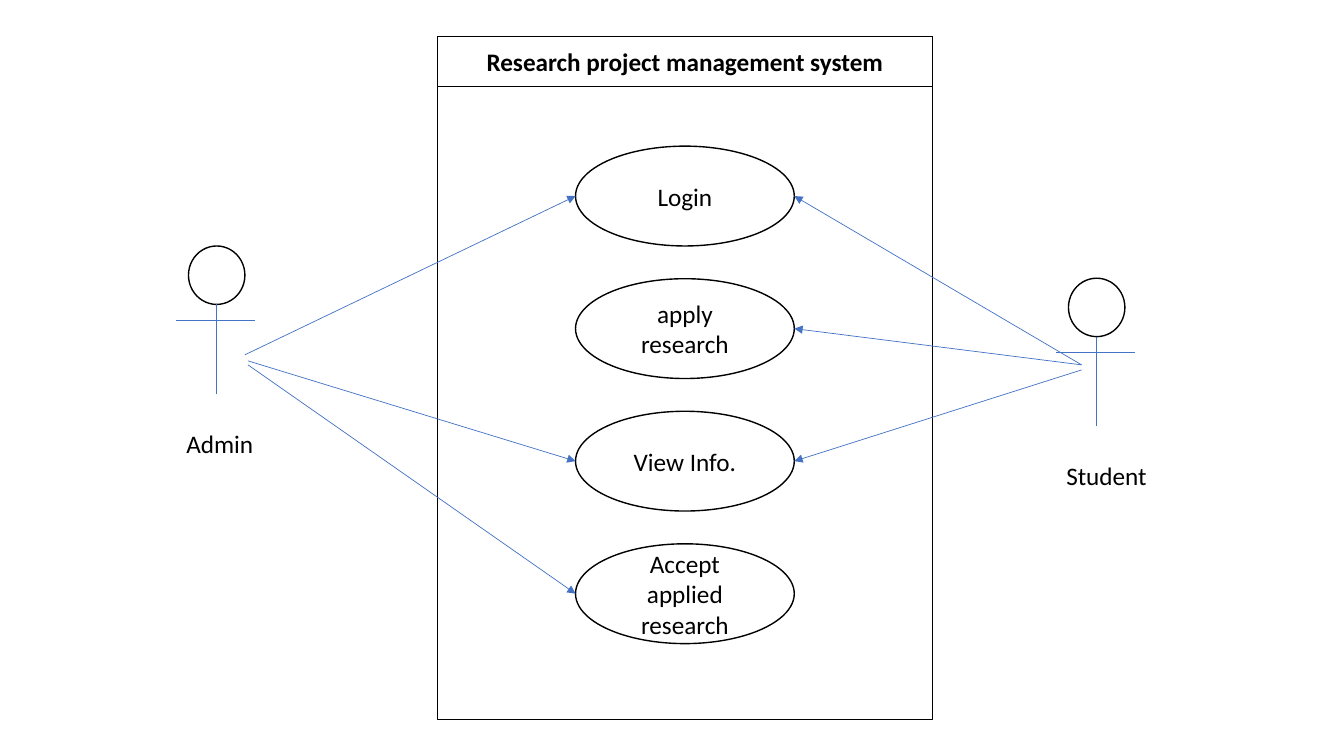
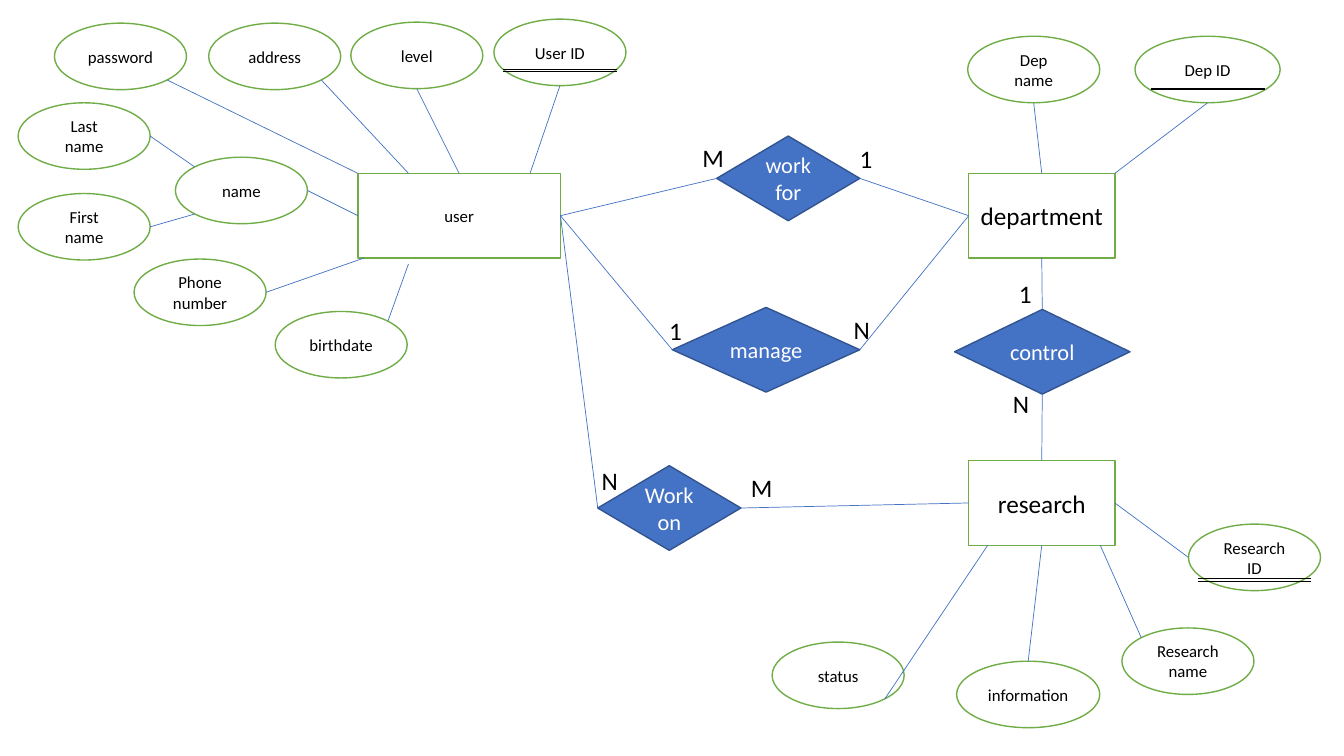
import math

import pptx
import pptx.dml.color
import pptx.enum.shapes
import pptx.enum.text
import pptx.oxml
import pptx.oxml.ns
import pptx.util

RGBColor = pptx.dml.color.RGBColor
SHAPE = pptx.enum.shapes.MSO_SHAPE
BLACK = RGBColor(0x00, 0x00, 0x00)
WHITE = RGBColor(0xFF, 0xFF, 0xFF)
BLUE = RGBColor(0x44, 0x72, 0xC4)
DARK_BLUE = RGBColor(0x32, 0x54, 0x91)
GREEN = RGBColor(0x70, 0xAD, 0x47)

# The slide is a grid of square cells, 133.33 columns by 75 rows.
CELL = pptx.util.Inches(0.1)
COLUMNS, ROWS = 133.33, 75

OUTLINED = {"fill": None, "line": BLACK, "color": BLACK, "size": 18}
ENTITY = {"fill": WHITE, "line": GREEN, "color": BLACK, "size": 18}
ATTRIBUTE = {**ENTITY, "size": 12}
RELATION = {"fill": BLUE, "line": DARK_BLUE, "color": WHITE, "size": 16}

DIAGONAL = math.sqrt(0.125)
NEAR, FAR = 0.5 - DIAGONAL, 0.5 + DIAGONAL
POINTS = {
    "top": (0.5, 0), "left": (0, 0.5), "bottom": (0.5, 1), "right": (1, 0.5),
    "oval top left": (NEAR, NEAR), "oval top right": (FAR, NEAR),
    "oval bottom left": (NEAR, FAR), "oval bottom right": (FAR, FAR),
}
SITES = {"top": 0, "left": 1, "bottom": 2, "right": 3}


def cells(*lengths):
    return [round(length * CELL) for length in lengths]


def write(shape, text, size, color, bold=False, alignment="CENTER"):
    frame = shape.text_frame
    frame.text = text
    frame.word_wrap = True
    for paragraph in frame.paragraphs:
        paragraph.alignment = getattr(pptx.enum.text.PP_ALIGN, alignment)
        for run in paragraph.runs:
            font_format = {"name": "Calibri", "size": pptx.util.Pt(size), "bold": bold}
            for attribute, value in font_format.items():
                setattr(run.font, attribute, value)
            run.font.color.rgb = color


def add_node(slide, kind, box, style, text="", bold=False):
    shape = slide.shapes.add_shape(kind, *cells(*box))
    shape.shadow.inherit = False
    if style["fill"] is None:
        shape.fill.background()
    else:
        shape.fill.solid()
        shape.fill.fore_color.rgb = style["fill"]
    shape.line.color.rgb = style["line"]
    shape.line.width = pptx.util.Pt(1)
    if text:
        shape.text_frame.vertical_anchor = pptx.enum.text.MSO_ANCHOR.MIDDLE
        write(shape, text, style["size"], style["color"], bold)
    return shape


def add_label(slide, text, left, top, width):
    label = slide.shapes.add_textbox(*cells(left, top, width, 4))
    write(label, text, 18, BLACK, alignment="LEFT")
    label.text_frame.auto_size = pptx.enum.text.MSO_AUTO_SIZE.SHAPE_TO_FIT_TEXT


def add_line(slide, start, end, color=BLUE, width=0.5, arrow=False):
    """Draw a straight line between two positions in slide units."""
    line = slide.shapes.add_connector(
        pptx.enum.shapes.MSO_CONNECTOR.STRAIGHT, *start, *end)
    line.line.color.rgb = color
    line.line.width = pptx.util.Pt(width)
    properties = line._element.spPr
    if arrow:
        tail = pptx.oxml.parse_xml(
            f'<a:tailEnd {pptx.oxml.ns.nsdecls("a")} type="triangle"/>')
        line.line._get_or_add_ln().append(tail)
    properties.append(pptx.oxml.parse_xml(
        f'<a:effectLst {pptx.oxml.ns.nsdecls("a")}/>'))
    return line


def position(shape, point):
    """Find a named point, or a pair of shares of the shape's size."""
    across, down = POINTS.get(point, point)
    return (round(shape.left + across * shape.width),
            round(shape.top + down * shape.height))


def link(slide, first, first_point, second, second_point):
    line = add_line(slide, position(first, first_point), position(second, second_point))
    for join, shape, point in ((line.begin_connect, first, first_point),
                               (line.end_connect, second, second_point)):
        if point in SITES and shape.auto_shape_type != SHAPE.OVAL:
            join(shape, SITES[point])


def add_system(slide, left, top, width, height, title, use_cases):
    """Draw the system box and return its use case ovals by name."""
    add_node(slide, SHAPE.RECTANGLE, (left, top, width, height), OUTLINED)
    add_node(slide, SHAPE.RECTANGLE, (left, top, width, 5), OUTLINED, title, bold=True)
    oval_width, oval_height, pitch = 21.7, 9.9, 13.15
    oval_left = left + (width - oval_width) / 2
    return {
        name: add_node(slide, SHAPE.OVAL,
                       (oval_left, top + 10.9 + row * pitch, oval_width, oval_height),
                       OUTLINED, name)
        for row, name in enumerate(use_cases)
    }


def add_actor(slide, left, top, name, label_width, side, arrows):
    """Draw a stick figure and its arrows: (column, row, use case oval)."""
    add_node(slide, SHAPE.OVAL, (left + 1.2, top, 5.6, 5.8), OUTLINED)
    strokes = [(4, 5.8, 4, 14.7), (0, 7.4, 7.8, 7.4)]
    for x1, y1, x2, y2 in strokes:
        add_line(slide, cells(left + x1, top + y1), cells(left + x2, top + y2))
    add_label(slide, name, left, top + 17.6, label_width)
    for column, row, oval in arrows:
        add_line(slide, cells(left + column, top + row), position(oval, side), arrow=True)


def add_attributes(slide, owner, attributes):
    """Place ovals by offset from their owner and link each one to it."""
    left, top = owner.left / CELL, owner.top / CELL
    ovals = {}
    for text, column, row, width, oval_point, owner_point in attributes:
        oval = add_node(slide, SHAPE.OVAL, (left + column, top + row, width, 6.6),
                        ATTRIBUTE, text)
        link(slide, oval, oval_point, owner, owner_point)
        ovals[text] = oval
    return ovals


def underline_key(slide, oval, rows):
    """Draw the key lines at the given rows below the top of the oval."""
    middle, top = oval.left / CELL + oval.width / CELL / 2, oval.top / CELL
    for row in rows:
        add_line(slide, cells(middle - 5.65, top + row), cells(middle + 5.65, top + row),
                 BLACK, 1)


def add_relation(slide, text, box, links):
    """Draw a diamond and its links: (diamond side, entity, entity side)."""
    diamond = add_node(slide, SHAPE.DIAMOND, box, RELATION, text)
    for side, entity, entity_side in links:
        link(slide, diamond, side, entity, entity_side)


def build_use_case_slide(slide):
    ovals = add_system(
        slide, 43.4, 3.6, 49.1, 67.8, "Research project management system",
        ["Login", "apply research", "View Info.", "Accept applied research"])
    login, apply_research, view, accept = ovals.values()
    add_actor(slide, 17.5, 24.4, "Admin", 9, "left",
              [(6.8, 10.8, login), (7.1, 11.4, view), (7.1, 11.8, accept)])
    add_actor(slide, 104.8, 27.6, "Student", 11, "right",
              [(2.5, 8.6, login), (2.5, 8.6, apply_research), (2.5, 9.1, view)])


def build_entity_slide(slide):
    user = add_node(slide, SHAPE.RECTANGLE, (35.5, 17.2, 20.1, 8.4),
                    {**ENTITY, "size": 12}, "user")
    department, research = (
        add_node(slide, SHAPE.RECTANGLE, (96.1, top, 14.5, 8.4), ENTITY, text)
        for top, text in ((17.2, "department"), (45.7, "research")))

    user_ovals = add_attributes(slide, user, [
        ("User ID", 13.5, -15.3, 13.1, "bottom", (0.85, 0)),
        ("level", -0.7, -15, 13.1, "bottom", "top"),
        ("address", -14.8, -14.9, 13.1, "oval bottom right", (0.25, 0)),
        ("password", -30.1, -14.9, 13.1, "oval bottom right", (0, 0)),
        ("name", -18.1, -1.6, 13.1, "right", "left"),
        ("Phone\nnumber", -22.2, 8.5, 13.1, "right", (0.03, 1)),
        ("birthdate", -8.2, 13.7, 13.1, "oval top right", (0.25, 1.07)),
    ])
    add_attributes(slide, user_ovals["name"], [
        ("Last\nname", -15.6, -5.4, 13.1, "right", "oval top left"),
        ("First\nname", -15.6, 3.6, 13.1, "right", "oval bottom left"),
    ])
    department_ovals = add_attributes(slide, department, [
        ("Dep\nname", -0.1, -13.6, 13.1, "bottom", "top"),
        ("Dep ID", 16.5, -13.6, 14.4, "bottom", (1, 0)),
    ])
    research_ovals = add_attributes(slide, research, [
        ("Research\nID", 21.8, 6.3, 13.1, "left", "right"),
        ("Research\nname", 15.2, 16.6, 13.1, "oval top left", (0.9, 1)),
        ("information", -1.2, 19.9, 14.2, "top", "bottom"),
        ("status", -19.5, 18, 13.1, "oval bottom right", (0.13, 1)),
    ])

    add_relation(slide, "control", (94.7, 30.7, 17.4, 8.4),
                 [("top", department, "bottom"), ("bottom", research, "top")])
    add_relation(slide, "work\nfor", (71.1, 13.5, 14.2, 8.4),
                 [("left", user, "right"), ("right", department, "left")])
    add_relation(slide, "manage", (66.7, 30.5, 18.6, 8.4),
                 [("left", user, "right"), ("right", department, "left")])
    add_relation(slide, "Work\non", (59.3, 46.2, 14.2, 8.4),
                 [("left", user, "right"), ("right", research, "left")])

    cardinalities = [
        ("1", 100.1, 27.1), ("N", 99.5, 38), ("M", 73.5, 46.4), ("N", 58.7, 45.7),
        ("1", 65.4, 30.8), ("1", 84.3, 13.7), ("N", 83.7, 30.7), ("M", 68.7, 13.6),
    ]
    for text, left, top in cardinalities:
        add_label(slide, text, left, top, 2.5)

    underline_key(slide, user_ovals["User ID"], (5, 5.2))
    underline_key(slide, department_ovals["Dep ID"], (5.2, 5.3))
    underline_key(slide, research_ovals["Research\nID"], (5.4, 5.7))


def main():
    presentation = pptx.Presentation()
    presentation.slide_width, presentation.slide_height = cells(COLUMNS, ROWS)
    blank = presentation.slide_layouts[6]
    for build in (build_use_case_slide, build_entity_slide):
        build(presentation.slides.add_slide(blank))
    presentation.save("out.pptx")


if __name__ == "__main__":
    main()
